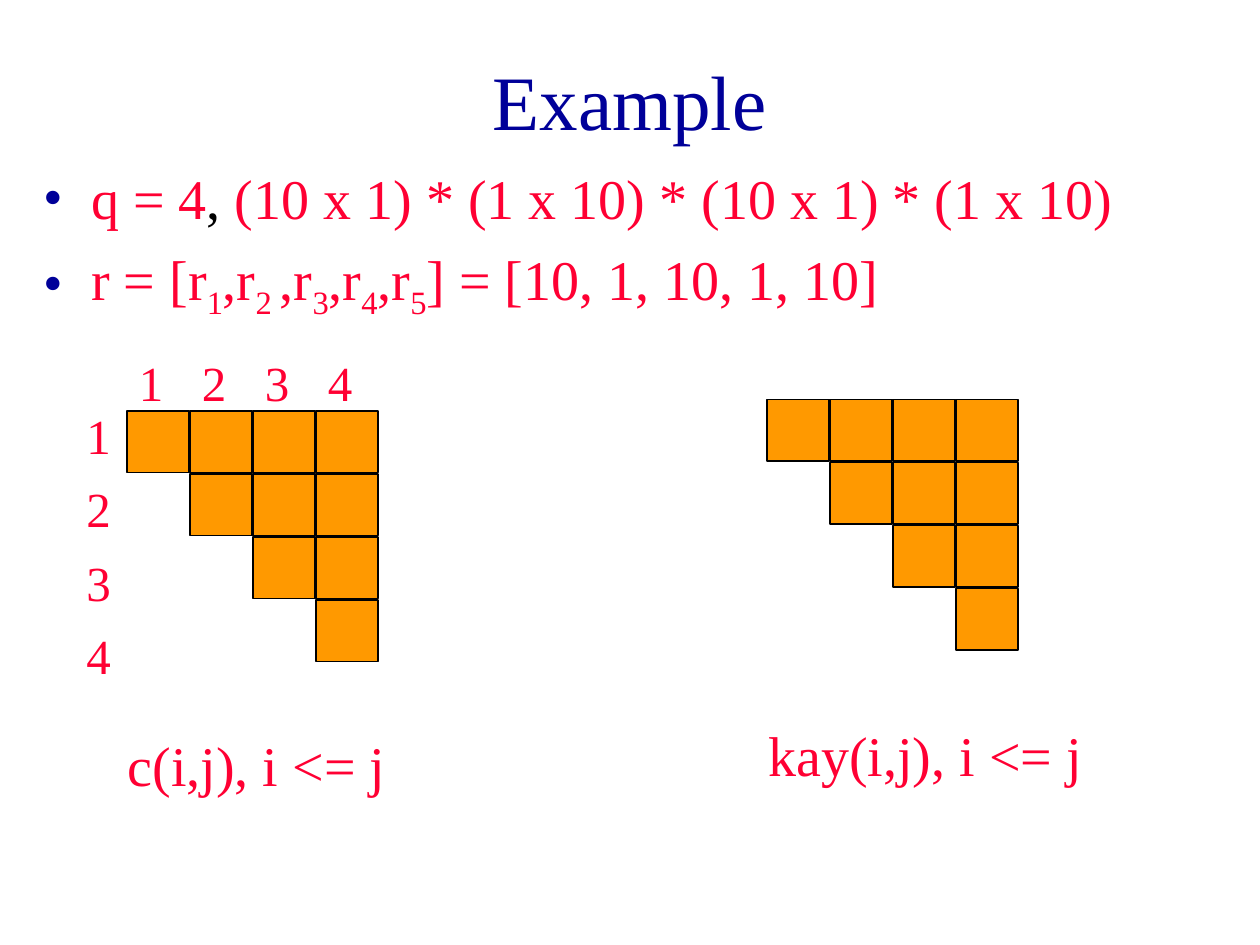
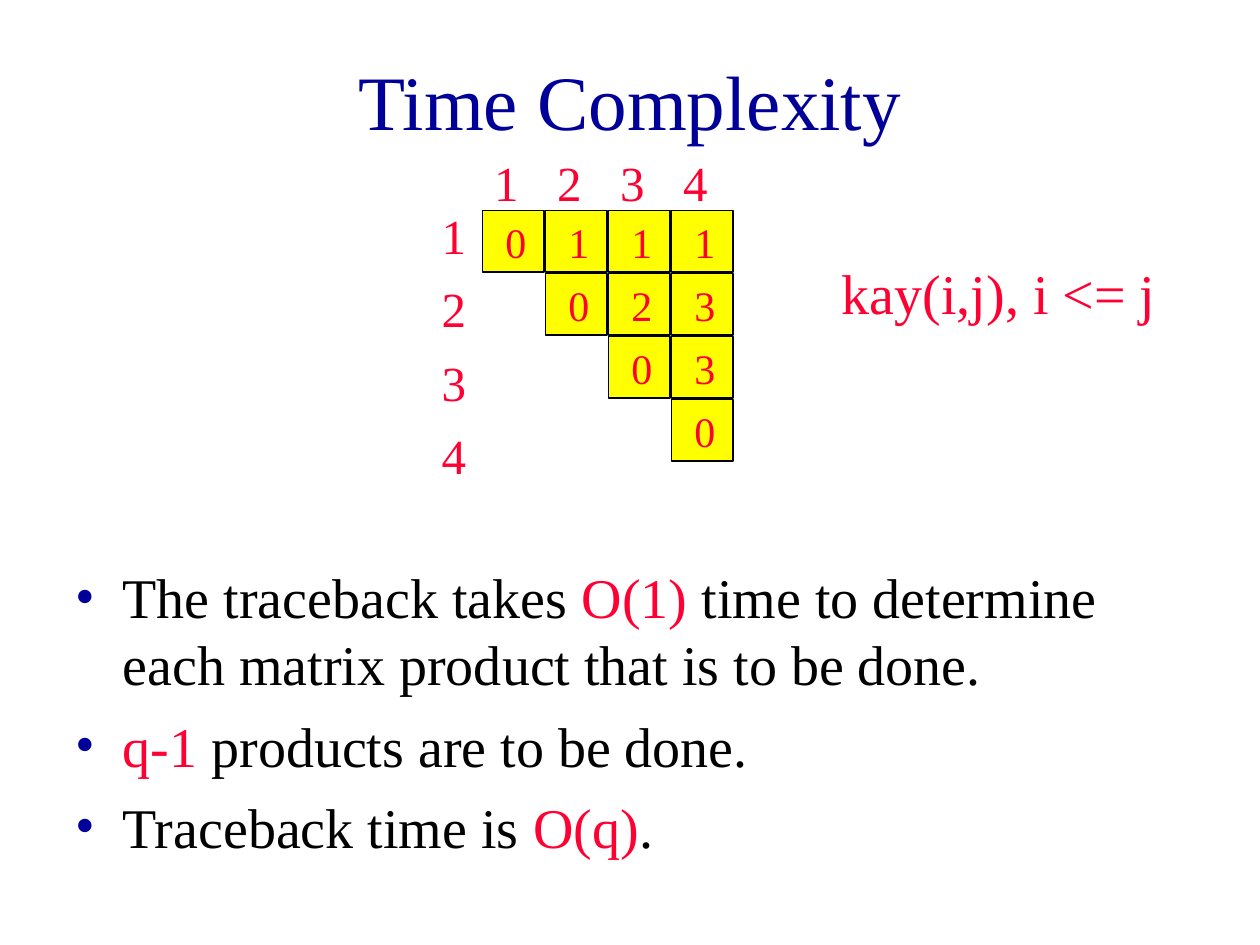
from dataclasses import dataclass

from lxml import etree
from pptx import Presentation
from pptx.dml.color import RGBColor
from pptx.enum import shapes, text
from pptx.oxml import ns
from pptx.util import Pt


@dataclass(frozen=True)
class Theme:
    font: str = "Times New Roman"
    navy: str = "000099"
    red: str = "FF0033"
    black: str = "000000"
    orange: str = "FF9900"
    yellow: str = "FFFF00"
    title_size: int = 44
    body_size: int = 32
    index_size: int = 28
    cell_size: int = 24


THEME = Theme()
MATRIX_ORDER = 4
CELL_PITCH, CELL_SIDE = 36, 35.3
ROW_LABEL_PITCH = 42
INDEX_WIDTH, INDEX_HEIGHT = 18, 41
BULLET_INDENT = 27


# Text
def set_insets(frame, left=7.2):
    frame.margin_left, frame.margin_right = Pt(left), Pt(7.2)
    frame.margin_top = frame.margin_bottom = Pt(3.6)
    frame.word_wrap = True


def format_run(run, size, color):
    run.font.name = THEME.font
    run.font.size = Pt(size)
    run.font.color.rgb = RGBColor.from_string(color)


def add_text(slide, box, content, size, color=THEME.red):
    shape = slide.shapes.add_textbox(*map(Pt, box))
    frame = shape.text_frame
    set_insets(frame)
    frame.text = content
    format_run(frame.paragraphs[0].runs[0], size, color)
    return frame


def add_title(slide, content):
    frame = add_text(slide, (54, 12, 612, 90), content, THEME.title_size, THEME.navy)
    frame.vertical_anchor = text.MSO_ANCHOR.MIDDLE
    frame.paragraphs[0].alignment = text.PP_ALIGN.CENTER


def set_bullet(paragraph):
    properties = paragraph._p.get_or_add_pPr()
    properties.set("marL", str(Pt(BULLET_INDENT)))
    properties.set("indent", str(-Pt(BULLET_INDENT)))
    color = etree.SubElement(properties, ns.qn("a:buClr"))
    etree.SubElement(color, ns.qn("a:srgbClr"), val=THEME.navy)
    etree.SubElement(properties, ns.qn("a:buFont"), typeface=THEME.font)
    etree.SubElement(properties, ns.qn("a:buChar"), char="•")


def add_bullets(slide, box, items):
    """Each item is a list of (words, color) or (words, color, baseline) pieces."""
    frame = slide.shapes.add_textbox(*map(Pt, box)).text_frame
    set_insets(frame)
    for number, pieces in enumerate(items):
        paragraph = frame.add_paragraph() if number else frame.paragraphs[0]
        paragraph.space_before = Pt(8)
        set_bullet(paragraph)
        for words, color, *baseline in pieces:
            run = paragraph.add_run()
            run.text = words
            format_run(run, THEME.body_size, color)
            if baseline:
                run.font._element.set("baseline", str(baseline[0] * 1000))


# Upper triangular matrices
def add_cell(slide, left, top, fill, value):
    cell = slide.shapes.add_shape(
        shapes.MSO_SHAPE.RECTANGLE, Pt(left), Pt(top), Pt(CELL_SIDE), Pt(CELL_SIDE))
    cell.shadow.inherit = False
    cell.fill.solid()
    cell.fill.fore_color.rgb = RGBColor.from_string(fill)
    cell.line.color.rgb = RGBColor.from_string(THEME.black)
    cell.line.width = Pt(1)
    if value is not None:
        frame = cell.text_frame
        set_insets(frame, left=13)
        frame.vertical_anchor = text.MSO_ANCHOR.TOP
        frame.text = str(value)
        frame.paragraphs[0].alignment = text.PP_ALIGN.LEFT
        format_run(frame.paragraphs[0].runs[0], THEME.cell_size, THEME.red)


def add_triangle(slide, left, top, fill, values=None):
    for row in range(MATRIX_ORDER):
        for column in range(row, MATRIX_ORDER):
            value = values[row][column - row] if values else None
            add_cell(slide, left + column * CELL_PITCH, top + row * CELL_PITCH, fill, value)


def add_indices(slide, left, top):
    """Number the columns and rows of the matrix whose corner is given."""
    for index in range(MATRIX_ORDER):
        for x, y in ((left - 0.5 + index * CELL_PITCH, top - 36.75),
                     (left - 30.5, top - 6.6 + index * ROW_LABEL_PITCH)):
            add_text(slide, (x, y, INDEX_WIDTH, INDEX_HEIGHT), str(index + 1), THEME.index_size)


# Slides
def build_example(slide):
    add_title(slide, "Example")
    red = THEME.red
    vector = [("r = [r", red)]
    for subscript, following in (("1", ",r"), ("2 ", ",r"), ("3", ",r"), ("4", ",r"),
                                 ("5", "] = [10, 1, 10, 1, 10]")):
        vector += [(subscript, red, -25), (following, red)]
    add_bullets(slide, (18, 90, 684, 102), [
        [("q = 4", red), (", ", THEME.black),
         ("(10 x 1) * (1 x 10) * (10 x 1) * (1 x 10)", red)],
        vector,
    ])
    cost_corner, kay_corner = (72.75, 234.75), (438.5, 228.25)
    add_triangle(slide, *cost_corner, THEME.orange)
    add_indices(slide, *cost_corner)
    add_text(slide, (66, 414, 180, 45), "c(i,j), i <= j", THEME.body_size)
    add_triangle(slide, *kay_corner, THEME.orange)
    add_text(slide, (432, 408, 222, 45), "kay(i,j), i <= j", THEME.body_size)


def build_time_complexity(slide):
    add_title(slide, "Time Complexity")
    red, black = THEME.red, THEME.black
    add_bullets(slide, (36, 318, 660, 180), [
        [("The traceback takes ", black), ("O(1) ", red),
         ("time to determine each matrix product that is to be done.", black)],
        [("q-1 ", red), ("products are to be done.", black)],
        [("Traceback time is ", black), ("O(q)", red), (".", black)],
    ])
    corner = (275.75, 120.25)
    add_indices(slide, *corner)
    add_triangle(slide, *corner, THEME.yellow, [[0, 1, 1, 1], [0, 2, 3], [0, 3], [0]])
    add_text(slide, (474, 144, 210, 45), "kay(i,j), i <= j", THEME.body_size)


def main():
    presentation = Presentation()
    presentation.slide_width, presentation.slide_height = Pt(720), Pt(540)
    blank = presentation.slide_layouts[6]
    for build in (build_example, build_time_complexity):
        build(presentation.slides.add_slide(blank))
    presentation.save("out.pptx")


if __name__ == "__main__":
    main()
